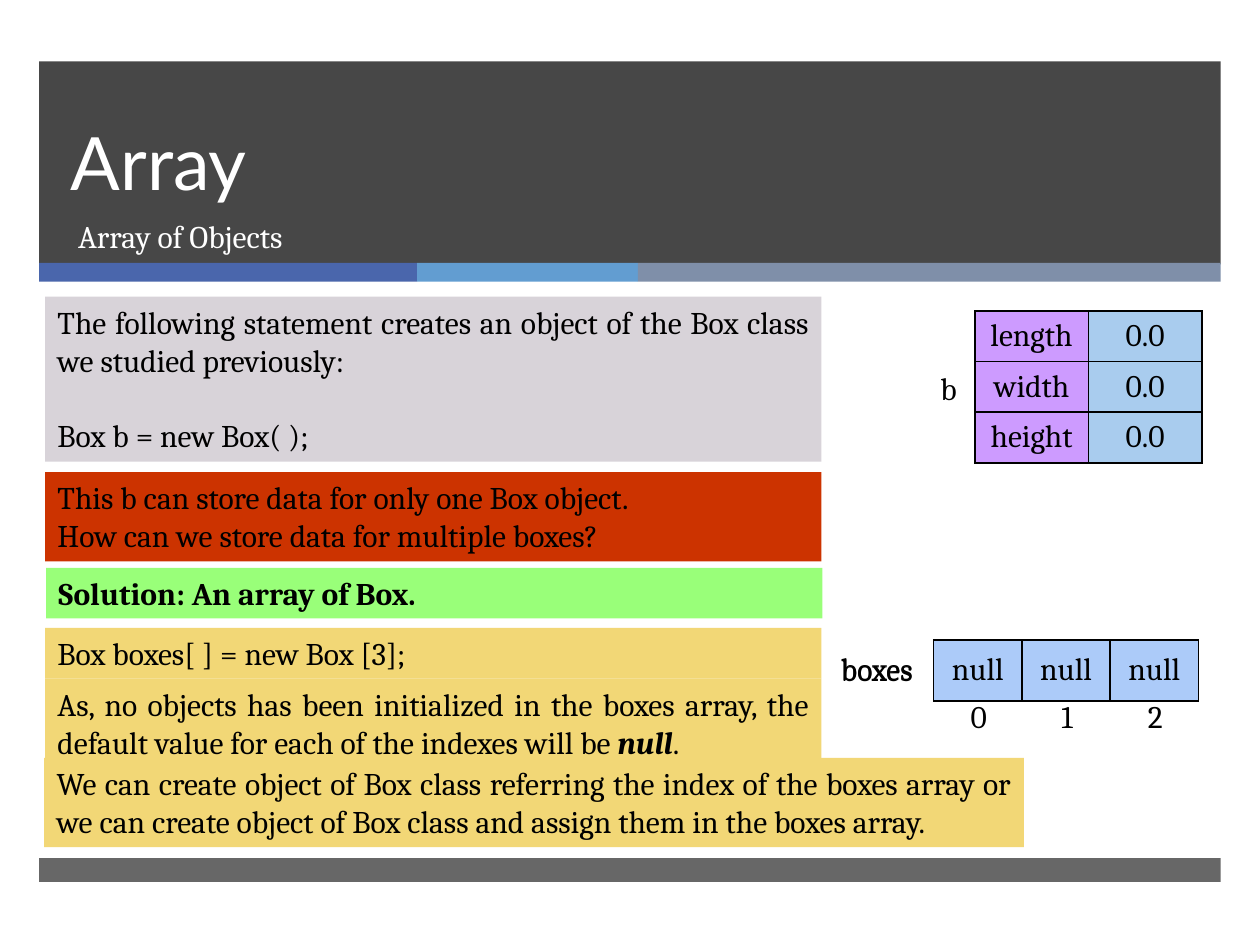
from lxml import etree
from pptx import Presentation
from pptx.dml.color import RGBColor
from pptx.enum.shapes import MSO_SHAPE
from pptx.enum.text import MSO_ANCHOR, MSO_AUTO_SIZE, PP_ALIGN
from pptx.oxml.ns import qn
from pptx.util import Cm, Pt

RECT = MSO_SHAPE.RECTANGLE
TOP, MIDDLE, BOTTOM = MSO_ANCHOR.TOP, MSO_ANCHOR.MIDDLE, MSO_ANCHOR.BOTTOM
LEFT, CENTER, JUSTIFY = PP_ALIGN.LEFT, PP_ALIGN.CENTER, PP_ALIGN.JUSTIFY
NO_AUTOFIT = MSO_AUTO_SIZE.NONE

BLACK = RGBColor(0x00, 0x00, 0x00)
WHITE = RGBColor(0xFF, 0xFF, 0xFF)
HEADER = RGBColor(0x47, 0x47, 0x47)
FOOTER = RGBColor(0x67, 0x67, 0x67)
STRIPE_BLUE = RGBColor(0x4A, 0x66, 0xAC)
STRIPE_SKY = RGBColor(0x62, 0x9D, 0xD1)
STRIPE_SLATE = RGBColor(0x7F, 0x8F, 0xA9)
GREY = RGBColor(0xD8, 0xD3, 0xD9)
RED = RGBColor(0xCC, 0x33, 0x00)
GREEN = RGBColor(0x99, 0xFF, 0x79)
YELLOW = RGBColor(0xF2, 0xD7, 0x76)
PURPLE = RGBColor(0xCD, 0x9B, 0xFF)
LIGHT_BLUE = RGBColor(0xA9, 0xCC, 0xEE)
ARRAY_BLUE = RGBColor(0xAC, 0xCB, 0xF9)

SIDES = ("L", "R", "T", "B")
BODY_X, BODY_W = 0.91, 15.65
ONE_LINE, TWO_LINES = 1.02, 1.8


def add_run(p, text, size=18, font="Cambria", color=BLACK, bold=False, italic=False):
    r = p.add_run()
    r.text = text
    r.font.size = Pt(size)
    r.font.name = font
    r.font.color.rgb = color
    r.font.bold = bold
    r.font.italic = italic


def add_bar(s, x, y, w, h, color):
    sp = s.shapes.add_shape(RECT, Cm(x), Cm(y), Cm(w), Cm(h))
    sp.shadow.inherit = False
    sp.fill.solid()
    sp.fill.fore_color.rgb = color
    sp.line.fill.background()
    return sp


def add_note(s, y, h, color, paragraphs, x=BODY_X, w=BODY_W, gap=0):
    """Filled box; each paragraph is a list of (text, bold, italic) runs."""
    tf = add_bar(s, x, y, w, h, color).text_frame
    tf.word_wrap = True
    tf.vertical_anchor = TOP
    for i, runs in enumerate(paragraphs):
        p = tf.add_paragraph() if i else tf.paragraphs[0]
        p.alignment = JUSTIFY
        p.space_before = Pt(gap if i else 0)
        for text, bold, italic in runs:
            add_run(p, text, bold=bold, italic=italic)


def plain(text):
    return [(text, False, False)]


def fill_placeholder(sp, box, text, size, font, anchor):
    sp.left, sp.top, sp.width, sp.height = (Cm(v) for v in box)
    # Bring the placeholder in front of the header band
    sp.element.getparent().append(sp.element)
    tf = sp.text_frame
    tf.auto_size = NO_AUTOFIT
    tf.vertical_anchor = anchor
    p = tf.paragraphs[0]
    p.alignment = LEFT
    p.space_before = Pt(0)
    add_run(p, text, size, font, WHITE)
    return p


def set_borders(cell, sides):
    tc_pr = cell._tc.get_or_add_tcPr()
    for i, side in enumerate(SIDES):
        ln = etree.Element(qn(f"a:ln{side}"), w=str(Pt(1)))
        if side in sides:
            fill = etree.SubElement(ln, qn("a:solidFill"))
            etree.SubElement(fill, qn("a:srgbClr"), val=str(BLACK))
        else:
            etree.SubElement(ln, qn("a:noFill"))
        tc_pr.insert(i, ln)


def add_grid(s, x, y, col_widths, row_height, rows):
    """Table of (text, fill) cells; cells without fill have no own borders."""
    frame = s.shapes.add_table(len(rows), len(col_widths), Cm(x), Cm(y),
                               Cm(sum(col_widths)), Cm(row_height * len(rows)))
    table = frame.table
    table.first_row = table.horz_banding = False
    for col, width in zip(table.columns, col_widths):
        col.width = Cm(width)
    for i, row in enumerate(rows):
        table.rows[i].height = Cm(row_height)
        for j, (text, color) in enumerate(row):
            cell = table.cell(i, j)
            cell.vertical_anchor = MIDDLE
            p = cell.text_frame.paragraphs[0]
            p.alignment = CENTER
            if text:
                add_run(p, text)
            if color is None:
                cell.fill.background()
                next_filled = j + 1 < len(row) and row[j + 1][1] is not None
                set_borders(cell, "R" if next_filled else "")
            else:
                cell.fill.solid()
                cell.fill.fore_color.rgb = color
                set_borders(cell, SIDES)


def add_label(s, x, y, w, h, text):
    tf = s.shapes.add_textbox(Cm(x), Cm(y), Cm(w), Cm(h)).text_frame
    tf.word_wrap = True
    p = tf.paragraphs[0]
    p.alignment = CENTER
    add_run(p, text)


def add_frame(s):
    left, width = 0.79, 23.82
    add_bar(s, left, 1.24, width, 4.09, HEADER)
    x = left
    for w, color in ((7.62, STRIPE_BLUE), (4.45, STRIPE_SKY), (11.75, STRIPE_SLATE)):
        add_bar(s, x, 5.3, w, 0.38, color)
        x += w
    add_bar(s, left, 17.3, width, 0.48, FOOTER)


def add_array(s, y, value):
    """Named array row with three slots."""
    add_grid(s, 16.53, y, [2.29] + [1.78] * 3, 1.22,
             [[("boxes", None)] + [(value, ARRAY_BLUE)] * 3])


def main():
    prs = Presentation()
    prs.slide_width, prs.slide_height = Cm(25.4), Cm(19.05)
    s = prs.slides.add_slide(prs.slide_layouts[0])

    # Header, footer and titles
    add_frame(s)
    p = fill_placeholder(s.shapes.title, (1.17, 1.24, 21.69, 3.02),
                         "Array", 42, "Lato", BOTTOM)
    p.line_spacing = Pt(46)
    fill_placeholder(s.placeholders[1], (1.32, 4.25, 21.54, 1.35),
                     "Array of Objects", 18, "Cambria", TOP)

    # Solution and array declaration
    add_note(s, 11.45, ONE_LINE, GREEN,
             [[("Solution: An array of Box.", True, False)]], x=0.93)
    add_note(s, 12.66, ONE_LINE, YELLOW, [plain("Box boxes[ ] = new Box [3];")])

    # Single object b
    add_note(s, 5.98, 3.33, GREY, [
        plain("The following statement creates an object of the Box class "
              "we studied previously:"),
        plain("Box b = new Box( );")], gap=21.5)
    add_grid(s, 19.65, 6.27, [2.29] * 2, 1.02,
             [[(name, PURPLE), ("0.0", LIGHT_BLUE)]
              for name in ("length", "width", "height")])
    add_label(s, 17.98, 7.32, 2.29, ONE_LINE, "b")
    add_note(s, 9.52, TWO_LINES, RED, [
        plain("This b can store data for only one Box object."),
        plain("How can we store data for multiple boxes?")])

    # Array slots, their indexes, then the default values on top
    add_array(s, 12.92, "")
    add_grid(s, 17.06, 13.87, [1.78] * 4, 1.22,
             [[(text, None) for text in ("", "0", "1", "2")]])
    add_note(s, 13.68, TWO_LINES, YELLOW, [[
        ("As, no objects has been initialized in the boxes array, the default "
         "value for each of the indexes will be ", False, False),
        ("null", True, True),
        (".", False, False)]])
    add_array(s, 12.9, "null")

    # Closing remark
    add_note(s, 15.28, TWO_LINES, YELLOW, [
        plain("We can create object of Box class referring the index of the boxes "
              "array or we can create object of Box class and assign them in the "
              "boxes array.")], x=0.89, w=19.75)

    prs.save("out.pptx")


if __name__ == "__main__":
    main()
